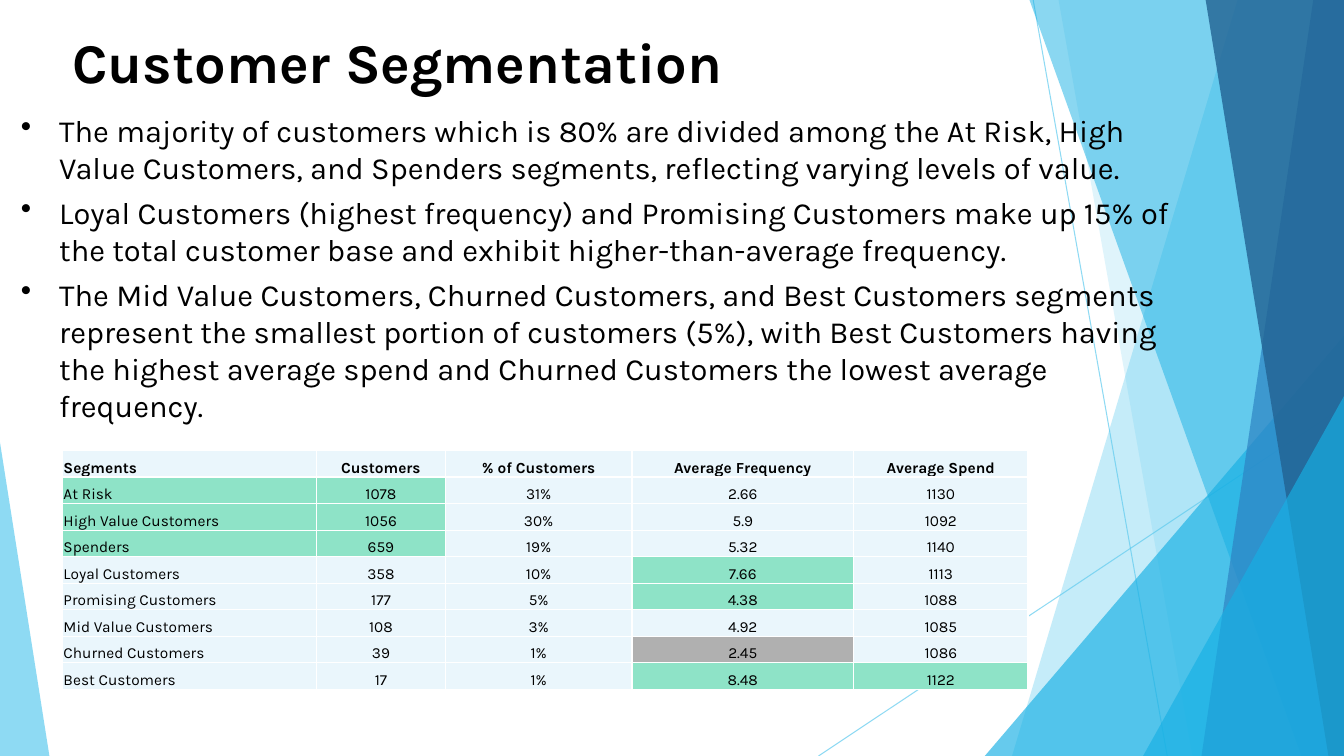
"""Build the customer segmentation slide."""
from dataclasses import dataclass
from typing import Any

from lxml import etree
from pptx import Presentation
from pptx.dml.color import RGBColor
from pptx.enum.shapes import MSO_CONNECTOR, MSO_SHAPE
from pptx.enum.text import MSO_ANCHOR, PP_ALIGN
from pptx.oxml.ns import qn
from pptx.util import Pt

LINE = MSO_CONNECTOR.STRAIGHT
TRI = MSO_SHAPE.ISOSCELES_TRIANGLE
MID, LOW = MSO_ANCHOR.MIDDLE, MSO_ANCHOR.BOTTOM
LEFT, CENTER = PP_ALIGN.LEFT, PP_ALIGN.CENTER

WIDE, HIGH = 960, 540
FONT = "Karla"
BLACK, WHITE = "000000", "FFFFFF"
SKY, CYAN, BLUE, NAVY = "5FCBEF", "17B0E4", "2E83C3", "226292"
PALE, GREEN, GREY = "EAF6FC", "8EE3C7", "B0B0B0"


@dataclass
class Ray:
    """A thin line between two points."""
    x1: float
    y1: float
    x2: float
    y2: float


@dataclass
class Shard:
    """A full-height pane from a slanted edge to the right side."""
    top: float
    base: float
    color: str
    alpha: int


@dataclass
class Wedge:
    """A right triangle standing on the slide's lower edge."""
    left: float
    top: float
    width: float
    peak: int
    color: str
    alpha: int


@dataclass
class Note:
    """A text box with its paragraphs and their format."""
    box: tuple[float, float, float, float]
    lines: list[str]
    size: int
    bold: bool
    form: dict[str, Any]
    bullet: bool


RAYS = [Ray(738, 0, 833.76, HIGH), Ray(WIDE, 290.16, 584.64, HIGH)]
PANES = [
    Shard(884.16, 722.88, SKY, 36),
    Shard(756, 851.76, SKY, 20),
    Wedge(703.44, 239.76, 256.56, 1, CYAN, 66),
    Shard(735.12, 929.52, CYAN, 50),
    Shard(938.16, 858.24, BLUE, 70),
    Shard(861.12, 948.96, NAVY, 80),
    Wedge(816.48, 282.96, 143.52, 1, CYAN, 66),
    Wedge(0, 316.08, 35.28, 0, SKY, 70),
]
NOTES = [
    Note((7.92, 158.4, 854.64, 65.52), [
        "The majority of customers which is 80% are divided among the At Risk, "
        "High Value Customers, and Spenders segments, reflecting varying levels of value.",
        "Loyal Customers (highest frequency) and Promising Customers make up 15% of "
        "the total customer base and exhibit higher-than-average frequency.",
        "The Mid Value Customers, Churned Customers, and Best Customers segments "
        "represent the smallest portion of customers (5%), with Best Customers having "
        "the highest average spend and Churned Customers the lowest average frequency.",
    ], 22, False, {"space_after": Pt(6)}, True),
    Note((44.64, 5.76, 779.04, 81.36), ["Customer Segmentation"], 40, True,
         {"space_after": Pt(6), "line_spacing": 0.9}, False),
]
COLS = [181.44, 92.16, 133.2, 158.4, 124.56]
ROWS = [
    ("Segments", "Customers", "% of Customers", "Average Frequency", "Average Spend"),
    ("At Risk", "1078", "31%", "2.66", "1130"),
    ("High Value Customers", "1056", "30%", "5.9", "1092"),
    ("Spenders", "659", "19%", "5.32", "1140"),
    ("Loyal Customers", "358", "10%", "7.66", "1113"),
    ("Promising Customers", "177", "5%", "4.38", "1088"),
    ("Mid Value Customers", "108", "3%", "4.92", "1085"),
    ("Churned Customers", "39", "1%", "2.45", "1086"),
    ("Best Customers", "17", "1%", "8.48", "1122"),
]
MARKS = {(row, col): GREEN for row in (1, 2, 3) for col in (0, 1)}
MARKS |= {(4, 3): GREEN, (5, 3): GREEN, (7, 3): GREY, (8, 3): GREEN, (8, 4): GREEN}
CELL = {"vertical_anchor": LOW, "margin_left": Pt(0.72), "margin_right": Pt(0.72),
        "margin_top": Pt(0.72), "margin_bottom": Pt(0)}


def put(item: Any, form: dict[str, Any]) -> None:
    """Set each format value on an object."""
    for name, value in form.items():
        setattr(item, name, value)


def paint(fill: Any, color: str) -> None:
    """Give a fill one solid colour."""
    fill.solid()
    fill.fore_color.rgb = RGBColor.from_string(color)


def fade(shape: Any, alpha: int) -> None:
    """Set the opacity of a shape's colours in percent."""
    for tag in shape.element.iter(qn("a:srgbClr")):
        etree.SubElement(tag, qn("a:alpha"), val=str(alpha * 1000))


def write(part: Any, text: str, size: int, bold: bool) -> None:
    """Write one styled run in a paragraph."""
    run = part.add_run()
    run.text = text
    put(run.font, {"name": FONT, "size": Pt(size), "bold": bold})
    paint(run.font.fill, BLACK)


def draw_ray(shapes: Any, ray: Ray) -> None:
    """Draw a thin, see-through line."""
    line = shapes.add_connector(LINE, Pt(ray.x1), Pt(ray.y1), Pt(ray.x2), Pt(ray.y2))
    line.line.width = Pt(0.75)
    paint(line.line.fill, SKY)
    fade(line, 70)
    etree.SubElement(line.element.spPr, qn("a:effectLst"))


def draw_pane(shapes: Any, pane: Shard | Wedge) -> None:
    """Draw a see-through shard or wedge."""
    if isinstance(pane, Shard):
        path = shapes.build_freeform(Pt(pane.top), Pt(-0.72), scale=1.0)
        path.add_line_segments([(Pt(WIDE), Pt(-0.72)), (Pt(WIDE), Pt(HIGH)),
                                (Pt(pane.base), Pt(HIGH))], close=True)
        shape = path.convert_to_shape()
    else:
        shape = shapes.add_shape(TRI, Pt(pane.left), Pt(pane.top),
                                 Pt(pane.width), Pt(HIGH - pane.top))
        shape.adjustments[0] = pane.peak
    shape.shadow.inherit = False
    shape.line.fill.background()
    paint(shape.fill, pane.color)
    fade(shape, pane.alpha)


def draw_note(shapes: Any, note: Note) -> None:
    """Draw a text box, with bullets if asked."""
    frame = shapes.add_textbox(*map(Pt, note.box)).text_frame
    put(frame, {"word_wrap": True, "vertical_anchor": MID})
    for i, text in enumerate(note.lines):
        part = frame.add_paragraph() if i else frame.paragraphs[0]
        put(part, note.form)
        write(part, text, note.size, note.bold)
        if note.bullet:
            props = part._p.get_or_add_pPr()
            props.set("marL", str(Pt(27.36)))
            props.set("indent", str(Pt(-28.8)))
            etree.SubElement(props, qn("a:buChar"), char="\u2022")


def edge(cell: Any) -> None:
    """Give a cell a white border on all sides."""
    props = cell._tc.get_or_add_tcPr()
    for side in ("lnL", "lnR", "lnT", "lnB"):
        line = etree.SubElement(props, qn(f"a:{side}"), w=str(Pt(1)))
        fill = etree.SubElement(line, qn("a:solidFill"))
        etree.SubElement(fill, qn("a:srgbClr"), val=WHITE)


def draw_table(shapes: Any) -> None:
    """Draw the table of segments."""
    table = shapes.add_table(len(ROWS), len(COLS), Pt(44.64), Pt(321.84),
                             Pt(sum(COLS)), Pt(18.96 * len(ROWS))).table
    put(table, {"first_row": False, "horz_banding": False})
    for col, width in zip(table.columns, COLS):
        col.width = Pt(width)
    for r, row in enumerate(ROWS):
        for c, text in enumerate(row):
            cell = table.cell(r, c)
            put(cell, CELL)
            edge(cell)
            paint(cell.fill, MARKS.get((r, c), PALE))
            part = cell.text_frame.paragraphs[0]
            part.alignment = CENTER if c else LEFT
            write(part, text, 11, r == 0)


def main() -> None:
    """Build and save the slide."""
    deck = Presentation()
    put(deck, {"slide_width": Pt(WIDE), "slide_height": Pt(HIGH)})
    shapes = deck.slides.add_slide(deck.slide_layouts[6]).shapes
    for ray in RAYS:
        draw_ray(shapes, ray)
    for pane in PANES:
        draw_pane(shapes, pane)
    for note in NOTES:
        draw_note(shapes, note)
    draw_table(shapes)
    deck.save("out.pptx")


main()
